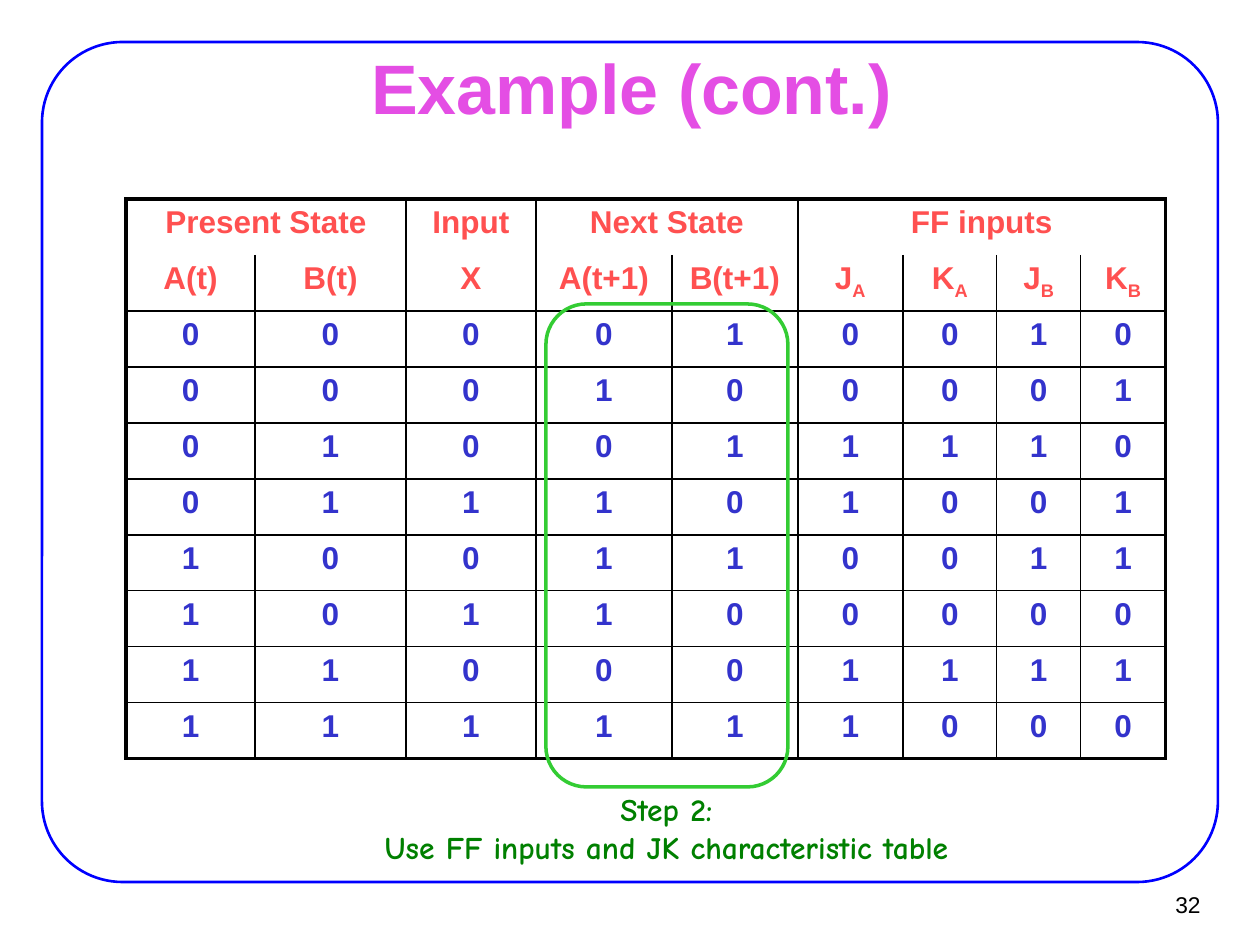
from typing import NamedTuple

from lxml import etree
from pptx import Presentation
from pptx import util as u
from pptx.dml.color import RGBColor
from pptx.enum import shapes, text
from pptx.oxml import ns

PX = 914400 // 126

BLUE = RGBColor(0x00, 0x00, 0xFF)
BLACK = RGBColor(0x00, 0x00, 0x00)
PINK = RGBColor(0xE4, 0x4E, 0xE4)
CORAL = RGBColor(0xFF, 0x50, 0x50)
INDIGO = RGBColor(0x33, 0x33, 0xCC)
LIME = RGBColor(0x33, 0xCC, 0x33)
GREEN = RGBColor(0x00, 0x80, 0x00)

THIN, THICK = 1, 2.25


class Box(NamedTuple):
    x: int
    y: int
    w: int
    h: int

    def emu(self) -> list[int]:
        return [v * PX for v in self]


class Outline(NamedTuple):
    box: Box
    radius: float
    color: RGBColor
    width: float


class Group(NamedTuple):
    title: str
    columns: list[str]


FRAME = Outline(Box(42, 42, 1176, 840), 0.096, BLUE, 1.5)
NEXT_STATE_RING = Outline(Box(546, 304, 242, 483), 0.167, LIME, 2)

GROUPS = [
    Group("Present State", ["A(t)", "B(t)"]),
    Group("Input", ["X"]),
    Group("Next State", ["A(t+1)", "B(t+1)"]),
    Group("FF inputs", ["J_A", "K_A", "J_B", "K_B"]),
]
STATES = [
    "000010010", "000100001", "010011110", "011101001",
    "100110011", "101100000", "110001111", "111111000",
]
COL_WIDTHS = [129, 151, 130, 136, 126, 105, 94, 84, 85]
ROW_HEIGHT = 56


def write(tf, content: str, *, size: float, color: RGBColor, font: str = "Arial",
          bold: bool = True, align=text.PP_ALIGN.CENTER) -> None:
    """Fill a text frame; a newline breaks the line, "_" starts a subscript."""
    p = tf.paragraphs[0]
    p.alignment = align
    for n, line in enumerate(content.split("\n")):
        if n:
            p.add_line_break()
        for level, part in enumerate(line.split("_")):
            r = p.add_run()
            r.text = part
            r.font.name, r.font.size, r.font.bold = font, u.Pt(size), bold
            r.font.color.rgb = color
            if level:
                r.font._element.set("baseline", "-25000")


def add_text(s, box: Box, content: str, *, wrap: bool = True,
             anchor=text.MSO_ANCHOR.MIDDLE, **fmt) -> None:
    tf = s.shapes.add_textbox(*box.emu()).text_frame
    tf.word_wrap, tf.vertical_anchor = wrap, anchor
    write(tf, content, **fmt)


def add_outline(s, outline: Outline) -> None:
    sp = s.shapes.add_shape(shapes.MSO_SHAPE.ROUNDED_RECTANGLE, *outline.box.emu())
    sp.adjustments[0] = outline.radius
    sp.shadow.inherit = False
    sp.fill.background()
    sp.line.color.rgb = outline.color
    sp.line.width = u.Pt(outline.width)


def set_borders(cell, **widths: float) -> None:
    """Draw the L, R, T and B borders; zero width means no line."""
    tc_pr = cell._tc.get_or_add_tcPr()
    for side, width in widths.items():
        ln = etree.SubElement(tc_pr, ns.qn(f"a:ln{side}"), w=str(int(u.Pt(width))))
        if width:
            fill = etree.SubElement(ln, ns.qn("a:solidFill"))
            etree.SubElement(fill, ns.qn("a:srgbClr"), val=str(BLACK))
        else:
            etree.SubElement(ln, ns.qn("a:noFill"))
    cell.fill.background()


def add_state_table(s, x: int, y: int) -> None:
    n_rows, n_cols = len(STATES) + 2, len(COL_WIDTHS)
    box = Box(x, y, sum(COL_WIDTHS), n_rows * ROW_HEIGHT)
    table = s.shapes.add_table(n_rows, n_cols, *box.emu()).table
    table.first_row = table.horz_banding = False
    for column, width in zip(table.columns, COL_WIDTHS):
        column.width = width * PX
    for row in table.rows:
        row.height = ROW_HEIGHT * PX

    # Group headings
    start = 0
    for group in GROUPS:
        end = start + len(group.columns) - 1
        if end > start:
            table.cell(0, start).merge(table.cell(0, end))
        write(table.cell(0, start).text_frame, group.title, size=18, color=CORAL)
        start = end + 1

    # Column headings and states
    headings = [name for group in GROUPS for name in group.columns]
    for i, values in enumerate([headings, *STATES], start=1):
        for j, value in enumerate(values):
            write(table.cell(i, j).text_frame, value, size=18,
                  color=CORAL if i == 1 else INDIGO)

    # Thick outer border, thin grid, no line between the two heading rows
    for i in range(n_rows):
        for j in range(n_cols):
            cell = table.cell(i, j)
            last = j + (cell.span_width if cell.is_merge_origin else 1)
            set_borders(
                cell,
                L=THIN if j else THICK,
                R=THICK if last == n_cols else THIN,
                T={0: THICK, 1: 0}.get(i, THIN),
                B={0: 0, n_rows - 1: THICK}.get(i, THIN),
            )


prs = Presentation()
prs.slide_width, prs.slide_height = 1260 * PX, 945 * PX
s = prs.slides.add_slide(prs.slide_layouts[6])

# Frame, page number and title
add_outline(s, FRAME)
add_text(s, Box(1136, 881, 77, 46), "32", size=13, color=BLACK, bold=False,
         wrap=False, align=text.PP_ALIGN.RIGHT)
add_text(s, Box(96, 56, 1071, 62), "Example (cont.)", size=40, color=PINK)

# State table with the next state ringed
add_state_table(s, 126, 199)
add_outline(s, NEXT_STATE_RING)

# Step caption
add_text(s, Box(315, 784, 703, 88),
         "Step 2:\nUse FF inputs and JK characteristic table",
         size=18, color=GREEN, font="Comic Neue", anchor=text.MSO_ANCHOR.TOP)

prs.save("out.pptx")
